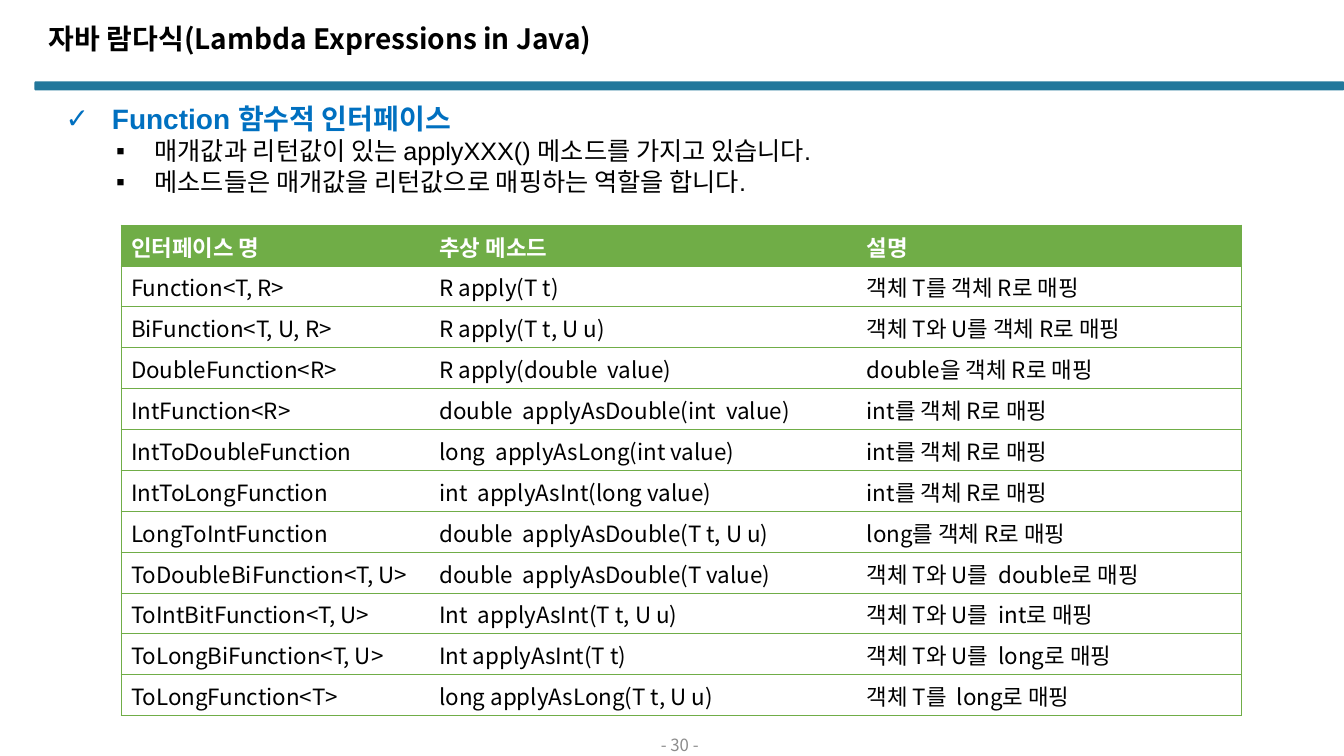
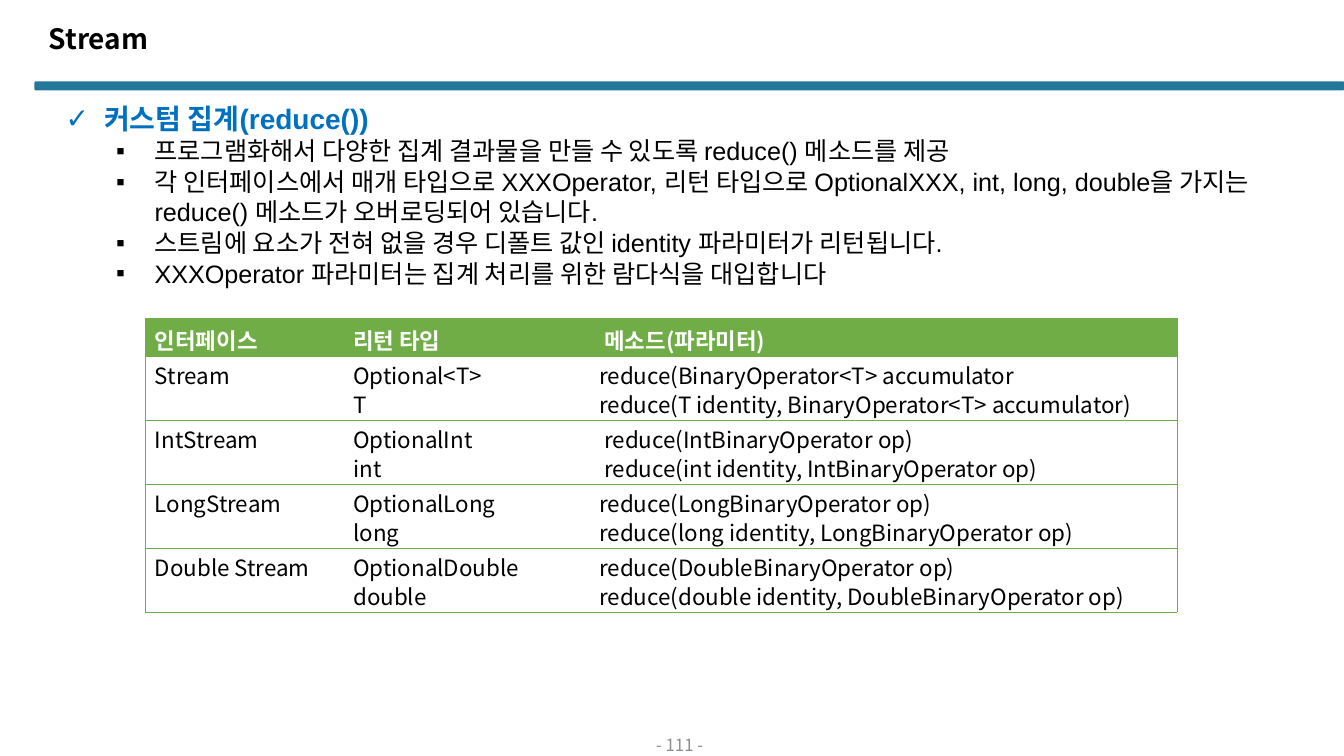
from lxml import etree
from pptx import Presentation
from pptx.dml.color import RGBColor
from pptx.enum.shapes import MSO_SHAPE
from pptx.enum.text import MSO_ANCHOR, MSO_AUTO_SIZE, PP_ALIGN
from pptx.oxml.ns import qn
from pptx.util import Cm, Pt

TOP, MIDDLE = MSO_ANCHOR.TOP, MSO_ANCHOR.MIDDLE
LEFT, CENTER = PP_ALIGN.LEFT, PP_ALIGN.CENTER
NO_FIT = MSO_AUTO_SIZE.NONE
ROUND_RECT = MSO_SHAPE.ROUNDED_RECTANGLE

BLACK = RGBColor(0x00, 0x00, 0x00)
WHITE = RGBColor(0xFF, 0xFF, 0xFF)
TEAL = RGBColor(0x22, 0x77, 0x9B)
BLUE = RGBColor(0x00, 0x70, 0xC0)
GREEN = RGBColor(0x70, 0xAD, 0x47)
GRAY = RGBColor(0x8C, 0x8C, 0x8C)

SANS = "Noto Sans CJK KR"
TITLE = {"name": SANS, "size": Pt(20), "bold": True, "color": BLACK}
PAGE = {"name": SANS, "size": Pt(12), "bold": False, "color": GRAY}
HEADING = {"name": "Arial", "size": Pt(20), "bold": True, "color": BLUE}
BULLET = {"name": "Arial", "size": Pt(18), "bold": False, "color": BLACK}
HEADER = {"name": SANS, "size": Pt(16), "bold": True, "color": WHITE}
CELL = {"name": SANS, "size": Pt(16), "bold": False, "color": BLACK}

LEVELS = [
    {"mark": "✓", "margin": Cm(0.97), "spacing": Pt(24), "format": HEADING},
    {"mark": "▪", "margin": Cm(2.24), "spacing": Pt(21.8), "format": BULLET},
]
HANGING = Cm(0.97)

SLIDES = [
    {
        "title": "자바 람다식(Lambda Expressions in Java)",
        "page": "- 30 -",
        "body_height": Cm(2.64),
        "body": [
            " Function 함수적 인터페이스",
            "매개값과 리턴값이 있는 applyXXX() 메소드를 가지고 있습니다.",
            "메소드들은 매개값을 리턴값으로 매핑하는 역할을 합니다.",
        ],
        "table_at": (Cm(3.05), Cm(5.67)),
        "widths": [Cm(7.77), Cm(10.77), Cm(9.68)],
        "heights": (Cm(1.03), Cm(1.03)),
        "spacing": None,
        "rows": [
            ("인터페이스 명", "추상 메소드", "설명"),
            ("Function<T, R>", "R apply(T t)", "객체 T를 객체 R로 매핑"),
            ("BiFunction<T, U, R>", "R apply(T t, U u)", "객체 T와 U를 객체 R로 매핑"),
            ("DoubleFunction<R>", "R apply(double  value)", "double을 객체 R로 매핑"),
            ("IntFunction<R>", "double  applyAsDouble(int  value)", "int를 객체 R로 매핑"),
            ("IntToDoubleFunction", "long  applyAsLong(int value)", "int를 객체 R로 매핑"),
            ("IntToLongFunction", "int  applyAsInt(long value)", "int를 객체 R로 매핑"),
            ("LongToIntFunction", "double  applyAsDouble(T t, U u)", "long를 객체 R로 매핑"),
            ("ToDoubleBiFunction<T, U>", "double  applyAsDouble(T value)", "객체 T와 U를  double로 매핑"),
            ("ToIntBitFunction<T, U>", "Int  applyAsInt(T t, U u)", "객체 T와 U를  int로 매핑"),
            ("ToLongBiFunction<T, U>", "Int applyAsInt(T t)", "객체 T와 U를  long로 매핑"),
            ("ToLongFunction<T>", "long applyAsLong(T t, U u)", "객체 T를  long로 매핑"),
        ],
    },
    {
        "title": "Stream",
        "page": "- 111 -",
        "body_height": Cm(4.95),
        "body": [
            "커스텀 집계(reduce())",
            "프로그램화해서 다양한 집계 결과물을 만들 수 있도록 reduce() 메소드를 제공",
            "각 인터페이스에서 매개 타입으로 XXXOperator, 리턴 타입으로 OptionalXXX, int, long, double을 가지는 reduce() 메소드가 오버로딩되어 있습니다.",
            "스트림에 요소가 전혀 없을 경우 디폴트 값인 identity 파라미터가 리턴됩니다.",
            "XXXOperator 파라미터는 집계 처리를 위한 람다식을 대입합니다",
        ],
        "table_at": (Cm(3.65), Cm(8.02)),
        "widths": [Cm(5), Cm(6.2), Cm(14.81)],
        "heights": (Cm(0.95), Cm(1.61)),
        "spacing": Pt(21),
        "rows": [
            ("인터페이스", "리턴 타입", " 메소드(파라미터)"),
            ("Stream", "Optional<T>\nT",
             "reduce(BinaryOperator<T> accumulator\nreduce(T identity, BinaryOperator<T> accumulator)"),
            ("IntStream", "OptionalInt\nint",
             " reduce(IntBinaryOperator op)\n reduce(int identity, IntBinaryOperator op)"),
            ("LongStream", "OptionalLong\nlong",
             "reduce(LongBinaryOperator op)\nreduce(long identity, LongBinaryOperator op)"),
            ("Double Stream", "OptionalDouble\ndouble",
             "reduce(DoubleBinaryOperator op)\nreduce(double identity, DoubleBinaryOperator op)"),
        ],
    },
]


def write(tf, lines, fmt):
    for i, line in enumerate(lines):
        p = tf.paragraphs[0] if i == 0 else tf.add_paragraph()
        r = p.add_run()
        r.text = line
        for key, value in fmt.items():
            if key == "color":
                r.font.color.rgb = value
            else:
                setattr(r.font, key, value)
        etree.SubElement(r._r.get_or_add_rPr(), qn("a:ea")).set("typeface", SANS)
    return p


def set_borders(cell, visible):
    tcPr = cell._tc.get_or_add_tcPr()
    for i, side in enumerate("LRTB"):
        ln = etree.Element(qn("a:ln" + side), w=str(Pt(0.5)))
        tcPr.insert(i, ln)
        if side in visible:
            fill = etree.SubElement(ln, qn("a:solidFill"))
            etree.SubElement(fill, qn("a:srgbClr")).set("val", str(GREEN))
        else:
            etree.SubElement(ln, qn("a:noFill"))


prs = Presentation()
prs.slide_width, prs.slide_height = Cm(33.87), Cm(19.05)
layout = prs.slide_layouts[1]

title = layout.placeholders[0]
title.left, title.top, title.width, title.height = Cm(0.97), Cm(0.64), Cm(30.48), Cm(1.19)
tf = title.text_frame
tf.vertical_anchor, tf.auto_size, tf.margin_top = TOP, NO_FIT, 0

for spec in SLIDES:
    s = prs.slides.add_slide(layout)

    band = s.shapes.add_shape(ROUND_RECT, Cm(0.87), Cm(2.05), Cm(33), Cm(0.23))
    band.adjustments[0] = 0.13
    band.shadow.inherit = False
    band.fill.solid()
    band.fill.fore_color.rgb = TEAL
    band.line.fill.background()

    p = write(s.shapes.title.text_frame, [spec["title"]], TITLE)
    p.alignment, p.line_spacing = LEFT, 0.9

    body = s.placeholders[1]
    body.left, body.top, body.width, body.height = Cm(1.4), Cm(2.44), Cm(31.6), spec["body_height"]
    tf = body.text_frame
    tf.auto_size = NO_FIT
    for i, line in enumerate(spec["body"]):
        level = min(i, 1)
        style = LEVELS[level]
        if i:
            tf.add_paragraph()
        p = tf.paragraphs[i]
        p.level = level
        pPr = p._p.get_or_add_pPr()
        pPr.set("marL", str(style["margin"]))
        pPr.set("indent", str(-HANGING))
        etree.SubElement(pPr, qn("a:buFont")).set("typeface", "Arial")
        etree.SubElement(pPr, qn("a:buChar")).set("char", style["mark"])
        p.space_before, p.line_spacing = 0, style["spacing"]
        r = p.add_run()
        r.text = line
        for key in ("name", "size", "bold"):
            setattr(r.font, key, style["format"][key])
        r.font.color.rgb = style["format"]["color"]
        etree.SubElement(r._r.get_or_add_rPr(), qn("a:ea")).set("typeface", SANS)

    rows, widths = spec["rows"], spec["widths"]
    head_height, row_height = spec["heights"]
    table = s.shapes.add_table(
        len(rows), len(widths), *spec["table_at"],
        sum(widths), head_height + row_height * (len(rows) - 1)).table
    table.horz_banding = False
    for col, width in zip(table.columns, widths):
        col.width = width
    for i, row in enumerate(rows):
        table.rows[i].height = row_height if i else head_height
        for j, text in enumerate(row):
            cell = table.cell(i, j)
            cell.margin_top, cell.margin_bottom = Cm(0.13), 0
            if i:
                cell.fill.background()
            else:
                cell.fill.solid()
                cell.fill.fore_color.rgb = GREEN
            write(cell.text_frame, text.split("\n"), CELL if i else HEADER)
            for p in cell.text_frame.paragraphs:
                p.line_spacing = spec["spacing"] if i else None
            set_borders(cell, "TB" + {0: "L", len(row) - 1: "R"}.get(j, ""))

    tf = s.shapes.add_textbox(Cm(13.18), Cm(18.47), Cm(7.9), Cm(0.58)).text_frame
    tf.word_wrap, tf.vertical_anchor = True, MIDDLE
    tf.margin_top = tf.margin_bottom = 0
    write(tf, [spec["page"]], PAGE).alignment = CENTER

prs.save("out.pptx")
